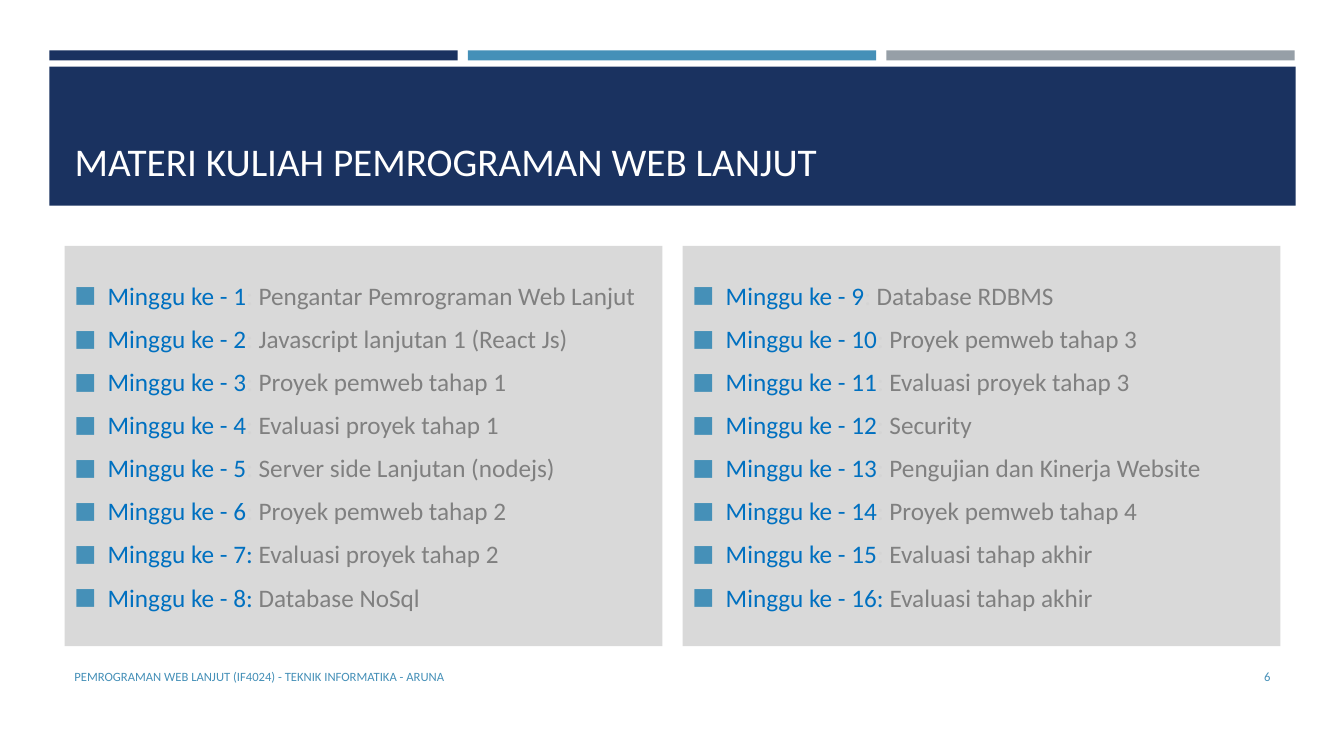
"""Build the weekly course outline slide for advanced web programming."""
import pptx
import pptx.dml.color
import pptx.enum.shapes
import pptx.enum.text
import pptx.oxml
import pptx.oxml.ns
import pptx.util
from pptx.util import Inches

COLORS = {
    "navy": "1A3260", "blue": "4590B8", "steel": "969FA7", "panel": "D9D9D9",
    "week": "0070C0", "colon": "D4D4D4", "topic": "808080", "white": "FFFFFF",
}
ALIGN = pptx.enum.text.PP_ALIGN
ANCHOR = pptx.enum.text.MSO_ANCHOR
TOPICS = [
    "Pengantar Pemrograman Web Lanjut", "Javascript lanjutan 1 (React Js)",
    "Proyek pemweb tahap 1", "Evaluasi proyek tahap 1",
    "Server side Lanjutan (nodejs)", "Proyek pemweb tahap 2",
    "Evaluasi proyek tahap 2", "Database NoSql",
    "Database RDBMS", "Proyek pemweb tahap 3",
    "Evaluasi proyek tahap 3", "Security",
    "Pengujian dan Kinerja Website", "Proyek pemweb tahap 4",
    "Evaluasi tahap akhir", "Evaluasi tahap akhir",
]
WEEKS_PER_PANEL = 8
BLUE_COLON_WEEKS = {7, 8, 16}


def add_block(page, left, top, width, height, color):
    block = page.shapes.add_shape(
        pptx.enum.shapes.MSO_SHAPE.RECTANGLE,
        Inches(left), Inches(top), Inches(width), Inches(height))
    block.shadow.inherit = False
    block.fill.solid()
    block.fill.fore_color.rgb = pptx.dml.color.RGBColor.from_string(COLORS[color])
    block.line.fill.background()
    return block


def format_span(span, size, color):
    span.font.name = "Calibri"
    span.font.size = pptx.util.Pt(size)
    span.font.color.rgb = pptx.dml.color.RGBColor.from_string(COLORS[color])


deck = pptx.Presentation()
deck.slide_width, deck.slide_height = Inches(13.33), Inches(7.5)
page = deck.slides.add_slide(deck.slide_layouts[5])

for column, color in enumerate(["navy", "blue", "steel"]):
    add_block(page, 0.49 + column * 4.15, 0.5, 4.05, 0.1, color)
band = add_block(page, 0.49, 0.66, 12.36, 1.38, "navy")

title = page.shapes.title
band.element.addnext(title.element)
title.left, title.top = Inches(0.64), Inches(0.8)
title.width, title.height = Inches(12.06), Inches(1.08)
title.text_frame.text = "MATERI KULIAH PEMROGRAMAN WEB LANJUT"
title.text_frame.auto_size = pptx.enum.text.MSO_AUTO_SIZE.NONE
title.text_frame.vertical_anchor = ANCHOR.BOTTOM
title.text_frame.paragraphs[0].alignment = ALIGN.LEFT
format_span(title.text_frame.paragraphs[0].runs[0], 28, "white")

for panel_index in range(2):
    panel = add_block(page, 0.64 + panel_index * 6.13, 2.44, 5.93, 3.97, "panel")
    frame = panel.text_frame
    frame.word_wrap = True
    frame.vertical_anchor = ANCHOR.MIDDLE
    first = panel_index * WEEKS_PER_PANEL
    for offset, topic in enumerate(TOPICS[first:first + WEEKS_PER_PANEL]):
        week = first + offset + 1
        para = frame.paragraphs[0] if offset == 0 else frame.add_paragraph()
        para.alignment = ALIGN.LEFT
        para.space_before = pptx.util.Pt(3.2)
        para.space_after = pptx.util.Pt(6)
        properties = para._p.get_or_add_pPr()
        properties.set("marL", str(Inches(0.33)))
        properties.set("indent", str(-Inches(0.33)))
        namespace = pptx.oxml.ns.nsdecls("a")
        for bullet in [
            f'<a:buClr {namespace}><a:srgbClr val="{COLORS["blue"]}"/></a:buClr>',
            f'<a:buSzPct {namespace} val="92000"/>',
            f'<a:buFont {namespace} typeface="Calibri"/>',
            f'<a:buChar {namespace} char="■"/>',
        ]:
            properties.append(pptx.oxml.parse_xml(bullet))
        colon_color = "week" if week in BLUE_COLON_WEEKS else "colon"
        for text, color in [(f"Minggu ke - {week}", "week"),
                            (": ", colon_color), (topic, "topic")]:
            span = para.add_run()
            span.text = text
            format_span(span, 18, color)

for left, width, text, alignment in [
    (0.64, 7.56, "PEMROGRAMAN WEB LANJUT (IF4024) - TEKNIK INFORMATIKA - ARUNA", ALIGN.LEFT),
    (11.55, 1.15, "6", ALIGN.RIGHT),
]:
    box = page.shapes.add_textbox(Inches(left), Inches(6.51), Inches(width), Inches(0.4))
    box.text_frame.word_wrap = True
    box.text_frame.vertical_anchor = ANCHOR.MIDDLE
    box.text_frame.text = text
    para = box.text_frame.paragraphs[0]
    para.alignment = alignment
    format_span(para.runs[0], 9, "blue")

deck.save("out.pptx")
